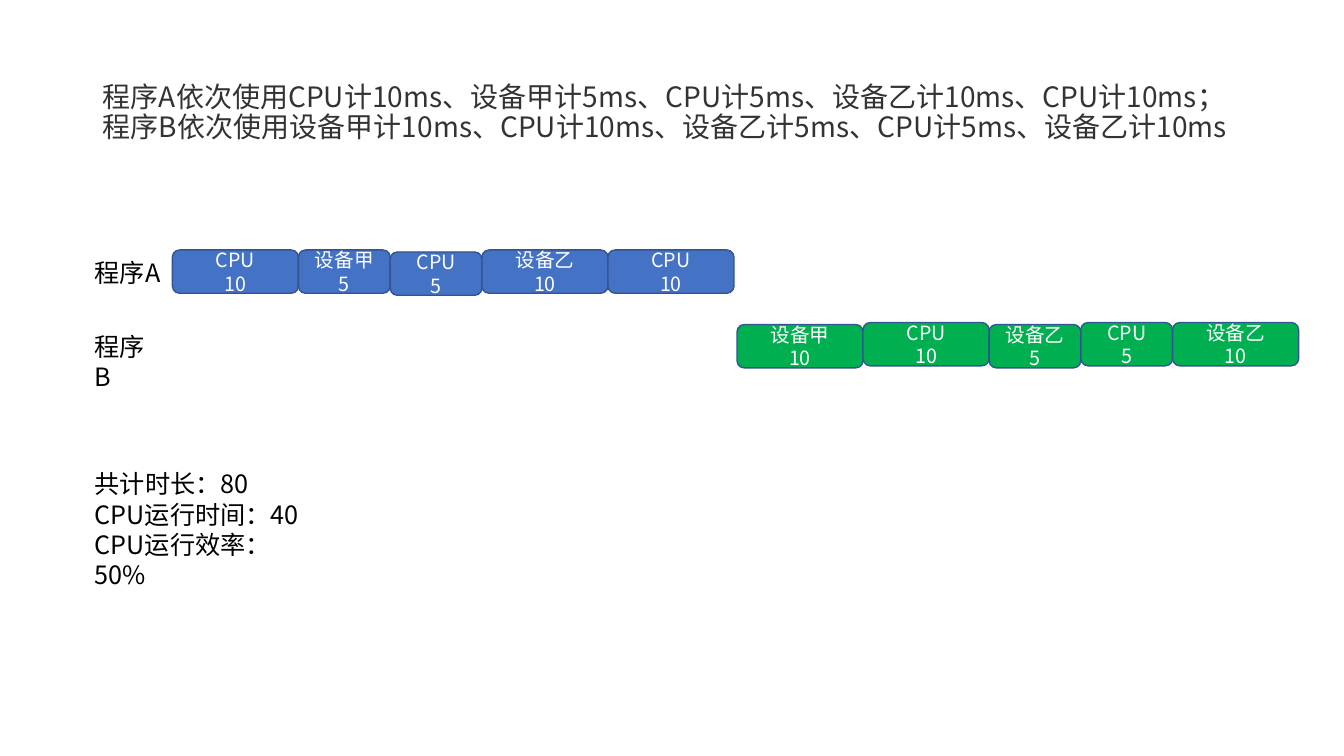
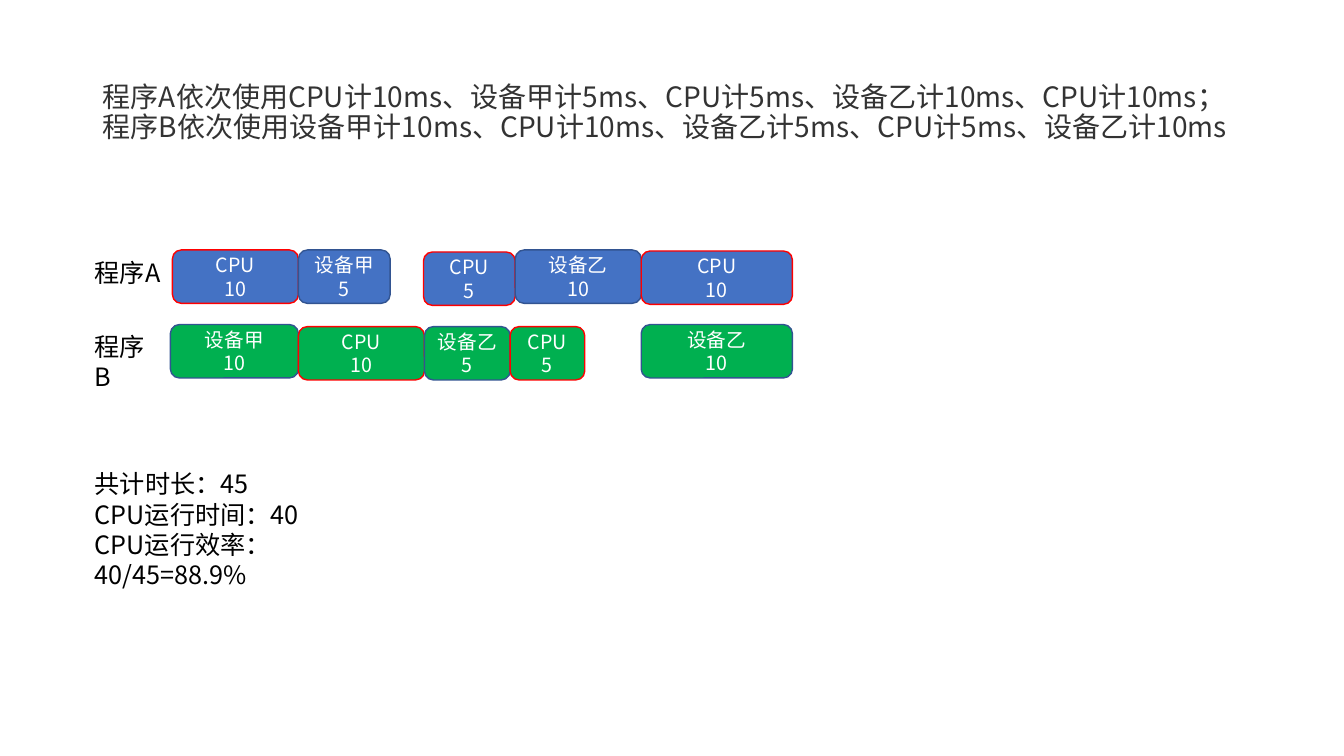
from collections import namedtuple

from pptx import Presentation
from pptx import util as u
from pptx.dml.color import RGBColor
from pptx.enum import shapes, text
from pptx.oxml.ns import qn

FONT = "Noto Sans CJK SC"
INK, BLACK, WHITE = "333333", "000000", "FFFFFF"
BLUE, GREEN = "4472C4", "00B050"
OUTLINE, ACCENT = "325491", "FF0000"

TITLE = ("程序A依次使用CPU计10ms、设备甲计5ms、CPU计5ms、设备乙计10ms、CPU计10ms；"
         "程序B依次使用设备甲计10ms、CPU计10ms、设备乙计5ms、CPU计5ms、设备乙计10ms")
TITLE_BOX = (0.92, 0.4, 11.5, 1.45)
MARGIN = 0.84
STATS_TOP = 4.6
LABELS = (("程序A", 2.5), ("程序B", 3.24))
WIDTHS = {10: 1.25, 5: 0.91}  # usual block width for each duration

# gap is the idle time before a block, drop its offset below the row's top
Block = namedtuple("Block", "device ms width gap drop", defaults=(None, 0, 0))
Row = namedtuple("Row", "left top color blocks")

SERIAL = (
    Row(1.71, 2.48, BLUE, (
        Block("CPU", 10), Block("设备甲", 5), Block("CPU", 5, drop=0.02),
        Block("设备乙", 10), Block("CPU", 10))),
    Row(7.31, 3.2, GREEN, (
        Block("设备甲", 10, drop=0.02), Block("CPU", 10),
        Block("设备乙", 5, drop=0.02), Block("CPU", 5), Block("设备乙", 10))),
)
PARALLEL = (
    Row(1.71, 2.48, BLUE, (
        Block("CPU", 10), Block("设备甲", 5),
        Block("CPU", 5, gap=0.33, drop=0.02), Block("设备乙", 10),
        Block("CPU", 10, width=1.5, drop=0.01))),
    Row(1.69, 3.22, GREEN, (
        Block("设备甲", 10, width=1.27), Block("CPU", 10, drop=0.02),
        Block("设备乙", 5, width=0.85, drop=0.02),
        Block("CPU", 5, width=0.74, drop=0.02),
        Block("设备乙", 10, width=1.5, gap=0.56))),
)


def rgb(value):
    return RGBColor.from_string(value)


def inches(*lengths):
    return [u.Inches(n) for n in lengths]


def style(tf, size, color, align=text.PP_ALIGN.LEFT):
    """Give every paragraph and run the same look."""
    tf.word_wrap = True
    for p in tf.paragraphs:
        p.alignment = align
        for r in p.runs:
            r.font.size = u.Pt(size)
            r.font.name = FONT
            r.font.color.rgb = rgb(color)
            ea = r.font._element.makeelement(qn("a:ea"), {"typeface": FONT})
            r.font._element.find(qn("a:latin")).addnext(ea)


def add_title(s):
    sp = s.shapes.title
    sp.left, sp.top, sp.width, sp.height = inches(*TITLE_BOX)
    tf = sp.text_frame
    tf.text = TITLE
    tf.auto_size = text.MSO_AUTO_SIZE.NONE
    tf.vertical_anchor = text.MSO_ANCHOR.MIDDLE
    tf.paragraphs[0].line_spacing = 0.9
    style(tf, 20, INK)


def add_text(s, content, left, top, width, height):
    sp = s.shapes.add_textbox(*inches(left, top, width, height))
    tf = sp.text_frame
    tf.text = content
    tf.auto_size = text.MSO_AUTO_SIZE.SHAPE_TO_FIT_TEXT
    style(tf, 18, BLACK)


def add_block(s, block, box, fill, line):
    sp = s.shapes.add_shape(shapes.MSO_SHAPE.ROUNDED_RECTANGLE, *inches(*box))
    sp.shadow.inherit = False
    sp.fill.solid()
    sp.fill.fore_color.rgb = rgb(fill)
    sp.line.color.rgb = rgb(line)
    sp.line.width = u.Pt(1)
    tf = sp.text_frame
    tf.text = f"{block.device}\n{block.ms}"
    tf.vertical_anchor = text.MSO_ANCHOR.MIDDLE
    style(tf, 14, WHITE, text.PP_ALIGN.CENTER)


def add_row(s, row, height, cpu_line):
    """Lay the blocks of one program end to end."""
    left = row.left
    for block in row.blocks:
        left += block.gap
        width = block.width or WIDTHS[block.ms]
        line = cpu_line if block.device == "CPU" else OUTLINE
        add_block(s, block, (left, row.top + block.drop, width, height),
                  row.color, line)
        left += width


def add_schedule_slide(prs, rows, height, cpu_line, stats, stats_width):
    s = prs.slides.add_slide(prs.slide_layouts[5])
    for ph in list(s.placeholders):
        if ph.placeholder_format.idx:
            ph._element.getparent().remove(ph._element)
    add_title(s)
    # Timelines with their labels
    for row in rows:
        add_row(s, row, height, cpu_line)
    for label, top in LABELS:
        add_text(s, label, MARGIN, top, 0.86, 0.4)
    # Totals
    add_text(s, "\n".join(stats), MARGIN, STATS_TOP, stats_width, 1.01)


def main():
    prs = Presentation()
    prs.slide_width, prs.slide_height = inches(13.33, 7.5)
    add_schedule_slide(
        prs, SERIAL, 0.43, OUTLINE,
        ("共计时长：80", "CPU运行时间：40", "CPU运行效率：50%"), 2.32)
    add_schedule_slide(
        prs, PARALLEL, 0.53, ACCENT,
        ("共计时长：45", "CPU运行时间：40", "CPU运行效率：40/45=88.9%"), 3.3)
    prs.save("out.pptx")


if __name__ == "__main__":
    main()
